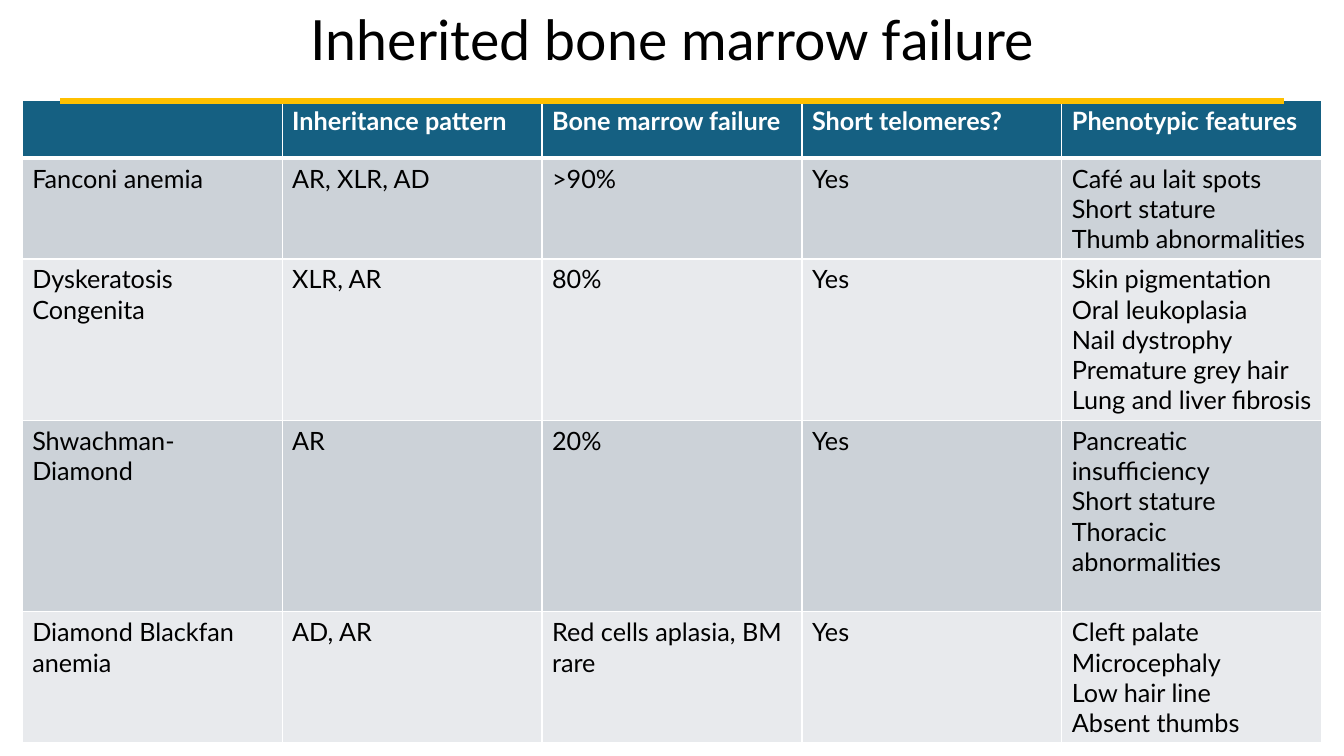
from dataclasses import dataclass

from lxml.etree import SubElement
from pptx import Presentation
from pptx.dml.color import RGBColor
from pptx.enum.shapes import MSO_CONNECTOR
from pptx.enum.text import MSO_ANCHOR, MSO_AUTO_SIZE, PP_ALIGN
from pptx.oxml import parse_xml
from pptx.oxml.ns import nsdecls, qn
from pptx.util import Inches, Pt


@dataclass(frozen=True)
class Theme:
    """Hold the colours, font and type sizes of the slide."""

    font: str = "Lato"
    title_size: float = 39.6
    table_size: float = 18
    text: str = "000000"
    light: str = "FFFFFF"
    header: str = "156082"
    bands: tuple = ("CCD2D8", "E8EAED")
    accent: str = "FFC000"


class SlideBuilder:
    """Place styled elements on a slide using a grid of tenths of an inch."""

    def __init__(self, presentation, theme):
        """Start a title-only slide."""
        self.theme = theme
        self.slide = presentation.slides.add_slide(presentation.slide_layouts[5])

    def grid(self, *units):
        """Turn columns and rows of the grid into lengths."""
        return [Inches(unit / 10) for unit in units]

    def style(self, paragraph, size, color, bold=False):
        """Set the font of a whole paragraph."""
        font = paragraph.font
        font.name, font.size, font.bold = self.theme.font, Pt(size), bold
        font.color.rgb = RGBColor.from_string(color)

    def title(self, text, *box):
        """Move and format the title placeholder."""
        shape = self.slide.shapes.title
        shape.left, shape.top, shape.width, shape.height = self.grid(*box)
        frame = shape.text_frame
        frame.text = text
        frame.auto_size = MSO_AUTO_SIZE.NONE
        frame.vertical_anchor = MSO_ANCHOR.MIDDLE
        paragraph = frame.paragraphs[0]
        paragraph.alignment = PP_ALIGN.CENTER
        paragraph.line_spacing = 0.9
        self.style(paragraph, self.theme.title_size, self.theme.text)

    def borders(self, cell, bottom):
        """Draw the light borders of a cell."""
        properties = cell._tc.get_or_add_tcPr()
        sides = {"lnL": 1, "lnR": 1, "lnT": 1, "lnB": bottom}
        for index, (side, width) in enumerate(sides.items()):
            properties.insert(index, parse_xml(
                f'<a:{side} {nsdecls("a")} w="{Pt(width)}"><a:solidFill>'
                f'<a:srgbClr val="{self.theme.light}"/></a:solidFill></a:{side}>'))

    def cell(self, cell, text, row):
        """Fill in one cell in the style of its row."""
        theme, is_header = self.theme, row == 0
        fill = theme.header if is_header else theme.bands[(row - 1) % 2]
        cell.fill.solid()
        cell.fill.fore_color.rgb = RGBColor.from_string(fill)
        self.borders(cell, 3 if is_header else 1)
        cell.text = text
        for paragraph in cell.text_frame.paragraphs:
            color = theme.light if is_header else theme.text
            self.style(paragraph, theme.table_size, color, is_header)

    def table(self, rows, left, top, column_width, row_heights):
        """Add a banded table with equal columns."""
        count = len(rows[0])
        box = self.grid(left, top, column_width * count, sum(row_heights))
        table = self.slide.shapes.add_table(len(rows), count, *box).table
        table.horz_banding = False
        for column in table.columns:
            column.width = Inches(column_width / 10)
        for row, (texts, height) in enumerate(zip(rows, row_heights)):
            table.rows[row].height = Inches(height / 10)
            for column, text in enumerate(texts):
                self.cell(table.cell(row, column), text, row)

    def rule(self, left, right, top, width):
        """Add a horizontal accent line."""
        ends = self.grid(left, top, right, top)
        line = self.slide.shapes.add_connector(MSO_CONNECTOR.STRAIGHT, *ends)
        line.line.color.rgb = RGBColor.from_string(self.theme.accent)
        line.line.width = Pt(width)
        SubElement(line._element.spPr, qn("a:effectLst"))


SYNDROMES = [
    ("", "Inheritance pattern", "Bone marrow failure", "Short telomeres?",
     "Phenotypic features"),
    ("Fanconi anemia", "AR, XLR, AD", ">90%", "Yes",
     "Café au lait spots\nShort stature\nThumb abnormalities"),
    ("Dyskeratosis Congenita", "XLR, AR", "80%", "Yes",
     "Skin pigmentation\nOral leukoplasia\nNail dystrophy\n"
     "Premature grey hair\nLung and liver fibrosis"),
    ("Shwachman-Diamond", "AR", "20%", "Yes",
     "Pancreatic insufficiency\nShort stature\nThoracic abnormalities"),
    ("Diamond Blackfan anemia", "AD, AR", "Red cells aplasia, BM rare", "Yes",
     "Cleft palate\nMicrocephaly\nLow hair line\nAbsent thumbs"),
]


def main():
    """Build and save the slide."""
    presentation = Presentation()
    presentation.slide_width = Inches(13.33)
    presentation.slide_height = Inches(7.5)
    builder = SlideBuilder(presentation, Theme())
    builder.title("Inherited bone marrow failure", 9.2, 1.7, 115, 5.1)
    builder.table(SYNDROMES, 2.2, 10, 25.78, (5.7, 10, 16, 19, 13))
    builder.rule(6, 127.3, 10, 4.5)
    presentation.save("out.pptx")


if __name__ == "__main__":
    main()
